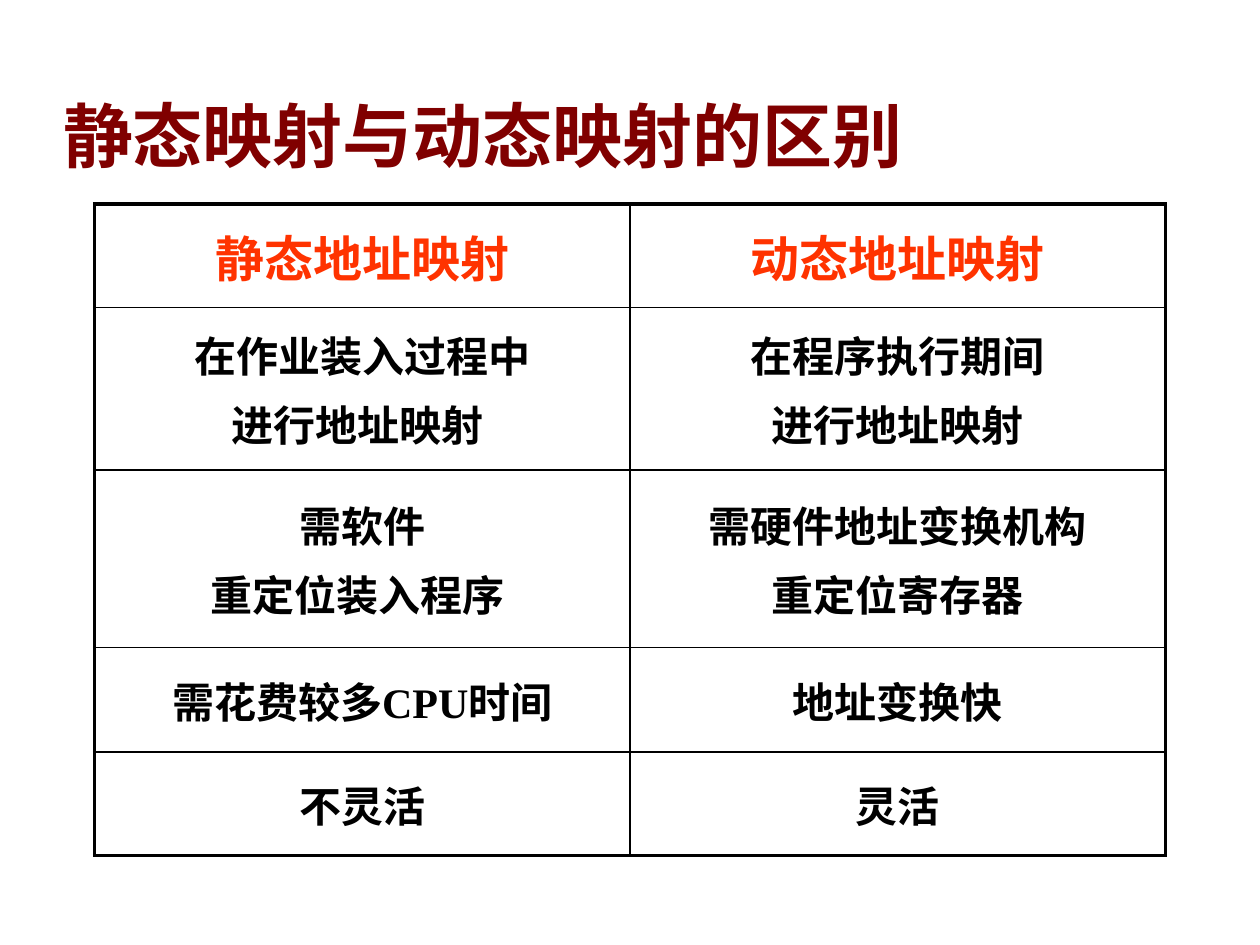
from lxml import etree
from pptx import Presentation
from pptx.dml.color import RGBColor
from pptx.enum.text import MSO_ANCHOR, MSO_AUTO_SIZE, PP_ALIGN
from pptx.oxml.ns import qn
from pptx.util import Inches, Pt

LEFT, CENTER = PP_ALIGN.LEFT, PP_ALIGN.CENTER
MIDDLE, BOTTOM = MSO_ANCHOR.MIDDLE, MSO_ANCHOR.BOTTOM
FIXED = MSO_AUTO_SIZE.NONE

WIDE, HIGH = Inches(10), Inches(7.5)
BLACK, RED, MAROON = "000000", "FF3300", "800000"
THICK, THIN = 2.25, 1
HEIGHTS = [0.82, 1.29, 1.41, 0.83, 0.82]
ROWS = [
    (["静态地址映射"], ["动态地址映射"]),
    (["在作业装入过程中", "进行地址映射 "], ["在程序执行期间", "进行地址映射"]),
    (["需软件", "重定位装入程序 "], ["需硬件地址变换机构", "重定位寄存器"]),
    (["需花费较多CPU时间"], ["地址变换快"]),
    (["不灵活"], ["灵活"]),
]


def color(code):
    return RGBColor.from_string(code)


def add_run(para, text, size, face, code):
    run = para.add_run()
    run.text = text
    font = run.font
    font.size, font.name, font.bold = Pt(size), face, True
    font.color.rgb = color(code)


def add_title(slide, text):
    title = slide.shapes.title
    title.left, title.top = int(WIDE * 0.04), int(HIGH * 0.095)
    title.width, title.height = int(WIDE * 0.92), int(HIGH * 0.1)
    frame = title.text_frame
    frame.auto_size, frame.word_wrap = FIXED, True
    frame.vertical_anchor = BOTTOM
    para = frame.paragraphs[0]
    para.alignment, para.line_spacing = LEFT, 0.9
    add_run(para, text, 40, "Arial", MAROON)


def add_edge(cell, side, width):
    props = cell._tc.get_or_add_tcPr()
    edge = etree.SubElement(props, qn(f"a:ln{side}"), w=str(Pt(width)))
    fill = etree.SubElement(edge, qn("a:solidFill"))
    etree.SubElement(fill, qn("a:srgbClr"), val=BLACK)


def fill_cell(cell, lines, size, code):
    cell.vertical_anchor = MIDDLE
    cell.fill.background()
    frame = cell.text_frame
    for i, line in enumerate(lines):
        para = frame.add_paragraph() if i else frame.paragraphs[0]
        para.alignment = CENTER
        if i:
            para.space_before = Pt(size * 0.2)
        add_run(para, line, size, "Times New Roman", code)


def add_grid(slide, rows):
    count, cols = len(rows), len(rows[0])
    width = int(WIDE * 0.85)
    frame = slide.shapes.add_table(
        count, cols, int(WIDE * 0.075), int(HIGH * 0.216),
        width, Inches(sum(HEIGHTS)))
    table = frame.table
    table.first_row = table.horz_banding = False
    for col in table.columns:
        col.width = width // cols
    for r, row in enumerate(rows):
        table.rows[r].height = Inches(HEIGHTS[r])
        size, code = (24, BLACK) if r else (28, RED)
        for c, lines in enumerate(row):
            cell = table.cell(r, c)
            outer = {"L": c == 0, "R": c == cols - 1,
                     "T": r == 0, "B": r == count - 1}
            for side, edge in outer.items():
                add_edge(cell, side, THICK if edge else THIN)
            fill_cell(cell, lines, size, code)


def main():
    deck = Presentation()
    deck.slide_width, deck.slide_height = WIDE, HIGH
    slide = deck.slides.add_slide(deck.slide_layouts[5])
    add_title(slide, "静态映射与动态映射的区别")
    add_grid(slide, ROWS)
    deck.save("out.pptx")


if __name__ == "__main__":
    main()
